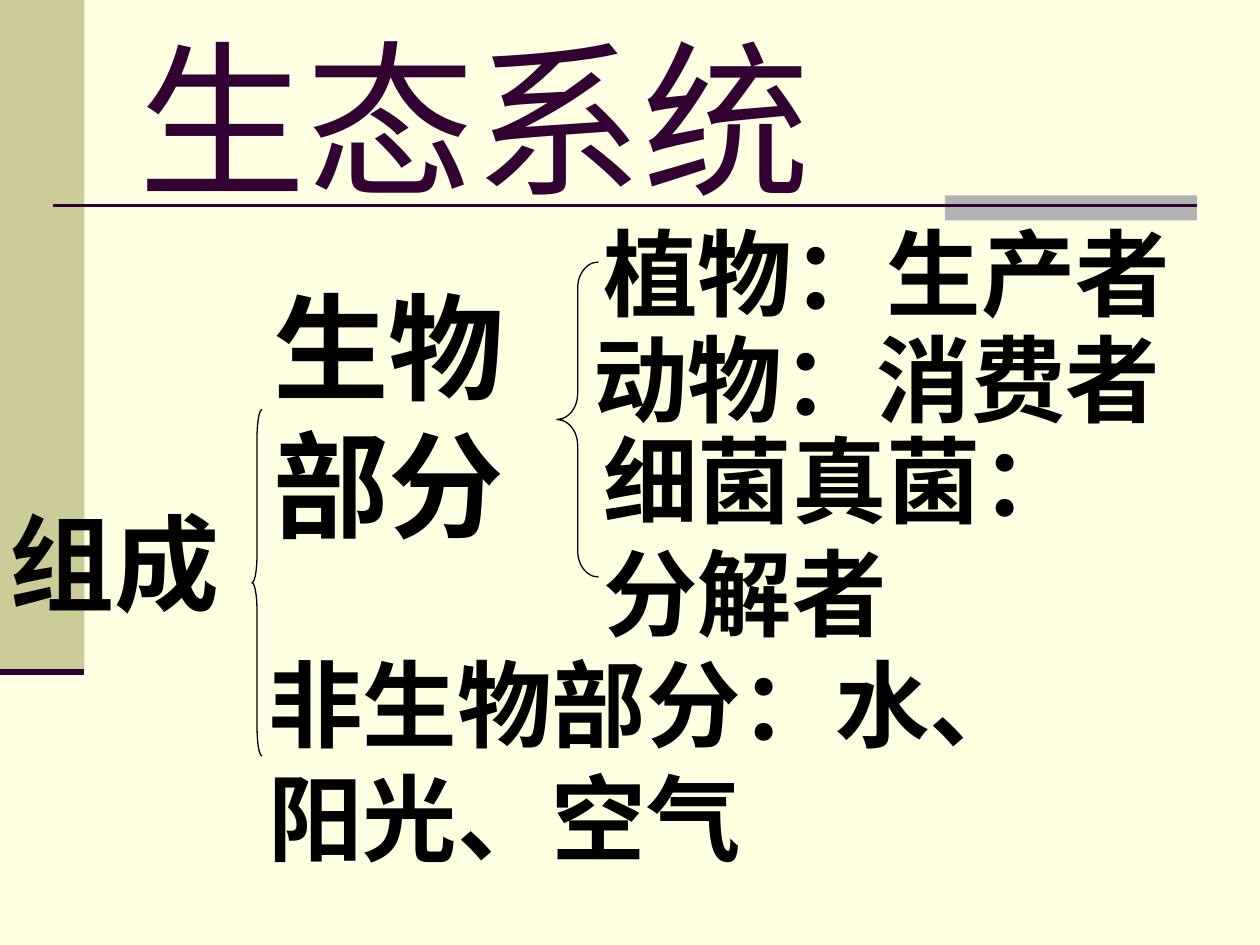
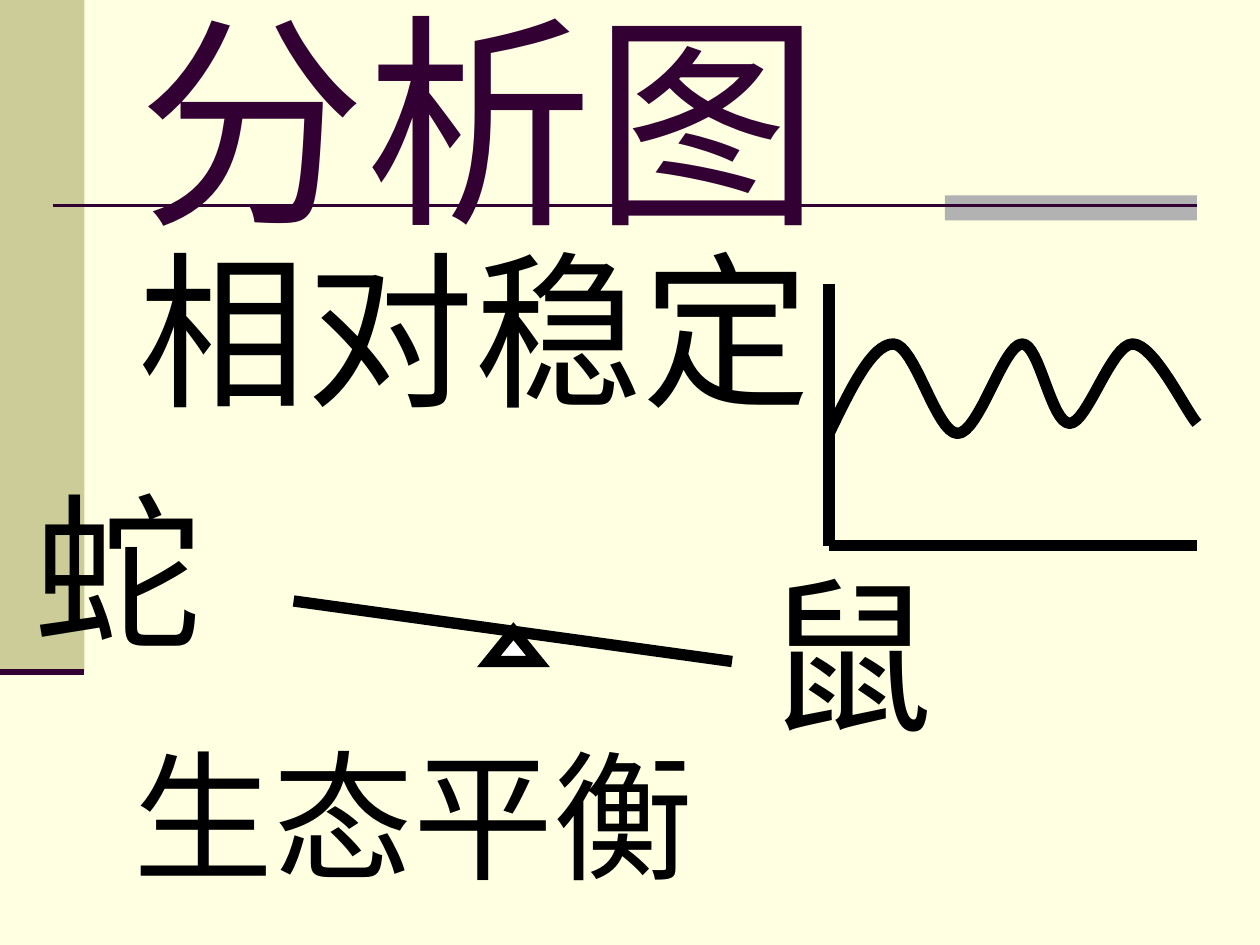
from lxml import etree
from pptx import Presentation
from pptx.dml.color import RGBColor
from pptx.enum.shapes import MSO_CONNECTOR, MSO_SHAPE
from pptx.enum.text import MSO_ANCHOR
from pptx.oxml.ns import qn
from pptx.util import Inches, Pt

CREAM = RGBColor(0xFF, 0xFF, 0xE1)
KHAKI = RGBColor(0xCC, 0xCC, 0x99)
GRAY = RGBColor(0xB2, 0xB2, 0xB2)
PLUM = RGBColor(0x33, 0x00, 0x33)
BLACK = RGBColor(0, 0, 0)
WHITE = RGBColor(0xFF, 0xFF, 0xFF)
SANS, SERIF = "Arial", "Times New Roman"
RECT, BRACE, TRI = MSO_SHAPE.RECTANGLE, MSO_SHAPE.LEFT_BRACE, MSO_SHAPE.ISOSCELES_TRIANGLE
STRAIGHT = MSO_CONNECTOR.STRAIGHT
MIDDLE, TOP = MSO_ANCHOR.MIDDLE, MSO_ANCHOR.TOP

# Content: the slide is a grid of 10 columns by 7.5 rows, one inch a cell
COLS, ROWS = 10, 7.5
BAND = (0, 0, 0.67, 5.33)
TAB = (7.5, 1.55, 2, 0.2)
RULE = (0.42, 1.63, 9.5, 1.63)
HEAD = (1, 0.3, 8.5, 1.25)
THICK = 6.5

# Lines of text, box, size
PARTS = [
    (["组成"], (-0.02, 3.91, 1.92, 1.1), 60),
    (["生物", "部分"], (2.07, 2.14, 2.24, 2.3), 66),
    (["非生物部分：水、", "阳光、空气"], (2.03, 5.08, 6.2, 1.9), 54),
    (["植物：生产者"], (4.69, 1.66, 4.7, 1), 54),
    (["动物：消费者"], (4.61, 2.5, 4.7, 1), 54),
    (["细菌真菌：", "分解者"], (4.69, 3.3, 3.95, 1.9), 54),
]
# Box, depth of the curls
BRACES = [((2, 3.25, 0.08, 2.75), 2.8), ((4.42, 2.08, 0.33, 2.5), 0.63)]

# Lines of text, box, size, font, anchor
LABELS = [
    (["相对稳定"], (1, 1.75, 8.5, 4.95), 96, SANS, TOP),
    (["蛇"], (0.17, 3.66, 1.53, 1.7), 96, SERIF, MIDDLE),
    (["鼠"], (5.98, 4.33, 1.59, 1.7), 96, SANS, MIDDLE),
    (["生态平衡"], (0.96, 5.74, 4.89, 1.44), 80, SANS, MIDDLE),
]
AXES = [(6.58, 2.25, 6.58, 4.33), (6.58, 4.33, 9.5, 4.33)]
BEAM = (2.33, 4.77, 5.81, 5.25)
PIVOT = (3.88, 5.01, 0.39, 0.24)
# Start, then two handles and an end for each bend
WAVE = [
    (6.58, 3.44), (6.75, 3.09), (6.92, 2.73), (7.09, 2.73),
    (7.26, 2.73), (7.43, 3.44), (7.6, 3.44),
    (7.77, 3.44), (7.96, 2.74), (8.11, 2.73),
    (8.25, 2.72), (8.34, 3.36), (8.49, 3.36),
    (8.63, 3.36), (8.82, 2.73), (8.99, 2.73),
    (9.16, 2.73), (9.41, 3.26), (9.5, 3.36),
]
STEPS = 16


def grid(box):
    return [Inches(n) for n in box]


def text(slide, lines, box, size, font=SANS, color=BLACK, bold=False, anchor=MIDDLE, slack=0):
    x, y, w, h = box
    frame = slide.shapes.add_textbox(*grid((x, y, w + slack, h))).text_frame
    frame.word_wrap = True
    frame.vertical_anchor = anchor
    for i, line in enumerate(lines):
        para = frame.paragraphs[0] if i == 0 else frame.add_paragraph()
        run = para.add_run()
        run.text = line
        run.font.size, run.font.name, run.font.bold = Pt(size), font, bold
        run.font.color.rgb = color


def style(item, fill=None, line=None, width=0.75):
    item.shadow.inherit = False
    if fill is None:
        item.fill.background()
    else:
        item.fill.solid()
        item.fill.fore_color.rgb = fill
    if line is None:
        item.line.fill.background()
    else:
        item.line.color.rgb = line
        item.line.width = Pt(width)


def shape(slide, kind, box, **look):
    item = slide.shapes.add_shape(kind, *grid(box))
    style(item, **look)
    return item


def stroke(slide, ends, width, color=BLACK):
    item = slide.shapes.add_connector(STRAIGHT, *grid(ends))
    item.line.color.rgb = color
    item.line.width = Pt(width)
    etree.SubElement(item._element.spPr, qn("a:effectLst"))


def curve(knots):
    """Points along a chain of cubic bends."""
    for i in range(0, len(knots) - 1, 3):
        bend = knots[i:i + 4]
        for k in range(1, STEPS + 1):
            t = k / STEPS
            u = 1 - t
            mix = (u ** 3, 3 * u * u * t, 3 * u * t * t, t ** 3)
            yield tuple(Inches(sum(m * p[axis] for m, p in zip(mix, bend))) for axis in (0, 1))


def base(deck, title, size):
    """A new slide with the shared bands, rules and title."""
    slide = deck.slides.add_slide(deck.slide_layouts[6])
    slide.background.fill.solid()
    slide.background.fill.fore_color.rgb = CREAM
    shape(slide, RECT, BAND, fill=KHAKI)
    shape(slide, RECT, TAB, fill=GRAY)
    stroke(slide, RULE, 1.5, PLUM)
    x, y, w, h = BAND
    stroke(slide, (x, y + h, x + w, y + h), 3.5, PLUM)
    text(slide, [title], HEAD, size, font=SERIF, color=PLUM)
    return slide


def system(deck):
    slide = base(deck, "生态系统", 96)
    for lines, box, size in PARTS:
        text(slide, lines, box, size, bold=True, slack=0.2)
    for box, curl in BRACES:
        brace = shape(slide, BRACE, box, line=BLACK)
        brace.adjustments[0] = curl


def balance(deck):
    slide = base(deck, "分析图", 130)
    for lines, box, size, font, anchor in LABELS:
        text(slide, lines, box, size, font=font, anchor=anchor, slack=0.2)

    # Graph of steady swings
    path = slide.shapes.build_freeform(*grid(WAVE[0]))
    path.add_line_segments(list(curve(WAVE)), close=False)
    style(path.convert_to_shape(), line=BLACK, width=THICK)
    for ends in AXES:
        stroke(slide, ends, THICK)

    # Seesaw
    stroke(slide, BEAM, THICK)
    pivot = shape(slide, TRI, PIVOT, fill=WHITE, line=BLACK, width=THICK)
    edge = pivot._element.spPr.find(qn("a:ln"))
    etree.SubElement(edge, qn("a:miter"), lim="800000")


def main():
    deck = Presentation()
    deck.slide_width, deck.slide_height = Inches(COLS), Inches(ROWS)
    system(deck)
    balance(deck)
    deck.save("out.pptx")


if __name__ == "__main__":
    main()
